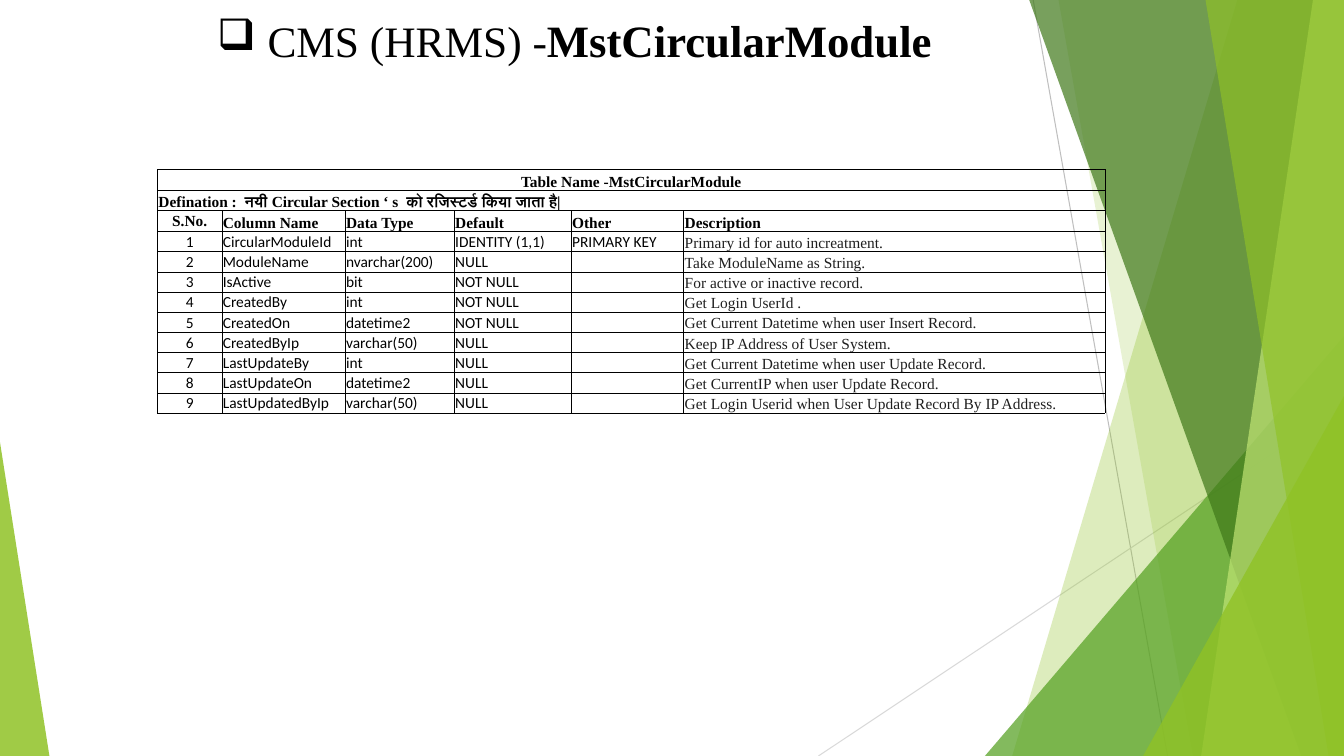
from lxml import etree
from pptx import Presentation
from pptx import util as u
from pptx.dml.color import RGBColor
from pptx.enum import shapes, text
from pptx.oxml.ns import qn

Pt = u.Pt
WIDTH, HEIGHT = 960, 540
TOP = -0.6
SERIF, SANS = "Times New Roman", "Calibri"
COLORS = {
    "black": "000000", "ink": "1F1F1F", "silver": "BFBFBF", "mist": "D9D9D9",
    "lime": "90C226", "green": "54A021", "forest": "3F7819", "pale": "C0E474",
}
COLUMN_WIDTHS = [46, 88, 78, 83.5, 80.5, 301]
TABLE_NAME = "Table Name -MstCircularModule"
DEFINITION = "Defination :  नयी Circular Section ‘ s  को रजिस्टर्ड किया जाता है|"
HEADINGS = ["S.No.", "Column Name", "Data Type", "Default", "Other", "Description"]
FIELDS = [
    ("CircularModuleId", "int", "IDENTITY (1,1)", "PRIMARY KEY",
     "Primary id for auto increatment."),
    ("ModuleName", "nvarchar(200)", "NULL", "", "Take ModuleName as String."),
    ("IsActive", "bit", "NOT NULL", "", "For active or inactive record."),
    ("CreatedBy", "int", "NOT NULL", "", "Get Login UserId ."),
    ("CreatedOn", "datetime2", "NOT NULL", "",
     "Get Current Datetime when user Insert Record."),
    ("CreatedByIp", "varchar(50)", "NULL", "", "Keep IP Address of User System."),
    ("LastUpdateBy", "int", "NULL", "",
     "Get Current Datetime when user Update Record."),
    ("LastUpdateOn", "datetime2", "NULL", "", "Get CurrentIP when user Update Record."),
    ("LastUpdatedByIp", "varchar(50)", "NULL", "",
     "Get Login Userid when User Update Record By IP Address."),
]


def rgb(name):
    return RGBColor.from_string(COLORS[name])


def paint(shape, color, opacity):
    """Give the shape a see-through fill, no line and no shadow."""
    shape.shadow.inherit = False
    shape.line.fill.background()
    shape.fill.solid()
    shape.fill.fore_color.rgb = rgb(color)
    tint = shape.fill._xPr.find(qn("a:solidFill"))[0]
    etree.SubElement(tint, qn("a:alpha"), val=str(opacity * 1000))


def add_line(page, start, end, color):
    line = page.shapes.add_connector(
        shapes.MSO_CONNECTOR.STRAIGHT, *[Pt(value) for value in start + end])
    line.line.color.rgb = rgb(color)
    line.line.width = Pt(0.75)
    etree.SubElement(line._element.spPr, qn("a:effectLst"))


def add_blade(page, top_x, bottom_x, color, opacity):
    """Fill from a slanted left edge to the right side of the slide."""
    corners = [(WIDTH, TOP), (WIDTH, HEIGHT), (bottom_x, HEIGHT)]
    outline = page.shapes.build_freeform(Pt(top_x), Pt(TOP))
    outline.add_line_segments([(Pt(x), Pt(y)) for x, y in corners], close=True)
    paint(outline.convert_to_shape(), color, opacity)


def add_triangle(page, left, top, width, apex, color, opacity):
    triangle = page.shapes.add_shape(
        shapes.MSO_SHAPE.ISOSCELES_TRIANGLE,
        Pt(left), Pt(top), Pt(width), Pt(HEIGHT - top))
    triangle.adjustments[0] = apex
    paint(triangle, color, opacity)


def add_span(para, words, size, font, color="black", bold=False):
    span = para.add_run()
    span.text = words
    span.font.size = Pt(size)
    span.font.name = font
    span.font.bold = bold
    span.font.color.rgb = rgb(color)


def add_title(page):
    box = page.shapes.add_textbox(Pt(112.5), Pt(5.8), Pt(596), Pt(46))
    box.text_frame.word_wrap = True
    para = box.text_frame.paragraphs[0]
    para.alignment = text.PP_ALIGN.CENTER
    props = para._p.get_or_add_pPr()
    props.set("marL", str(Pt(36)))
    props.set("indent", str(Pt(-36)))
    etree.SubElement(props, qn("a:buChar"), char="❑")
    add_span(para, "CMS (HRMS) -", 31, SERIF)
    add_span(para, "MstCircularModule", 32, SERIF, bold=True)


def add_borders(cell):
    props = cell._tc.get_or_add_tcPr()
    for index, side in enumerate(("lnL", "lnR", "lnT", "lnB")):
        border = etree.Element(qn("a:" + side), w=str(Pt(0.5)))
        fill = etree.SubElement(border, qn("a:solidFill"))
        etree.SubElement(fill, qn("a:srgbClr"), val=COLORS["black"])
        props.insert(index, border)


def fill_cell(cell, words, font=SERIF, color="black", bold=False,
              centered=False, anchor=text.MSO_ANCHOR.BOTTOM):
    cell.fill.background()
    cell.vertical_anchor = anchor
    cell.margin_left = cell.margin_right = cell.margin_top = Pt(0.7)
    cell.margin_bottom = 0
    add_borders(cell)
    para = cell.text_frame.paragraphs[0]
    para.alignment = text.PP_ALIGN.CENTER if centered else text.PP_ALIGN.LEFT
    if words:
        add_span(para, words, 11, font, color, bold)
    else:
        etree.SubElement(para._p, qn("a:endParaRPr"), sz="1100")


def add_field_table(page):
    heights = [15, 14.4, 15] + [14.4] * len(FIELDS)
    frame = page.shapes.add_table(
        len(heights), len(COLUMN_WIDTHS), Pt(112.5), Pt(121),
        Pt(sum(COLUMN_WIDTHS)), Pt(sum(heights)))
    table = frame.table
    table.first_row = table.horz_banding = False
    for column, width in zip(table.columns, COLUMN_WIDTHS):
        column.width = Pt(width)
    for row, height in zip(table.rows, heights):
        row.height = Pt(height)

    last = len(COLUMN_WIDTHS) - 1
    for row, words in enumerate((TABLE_NAME, DEFINITION)):
        for column in range(last + 1):
            add_borders(table.cell(row, column))
        table.cell(row, 0).merge(table.cell(row, last))
        fill_cell(table.cell(row, 0), words, bold=True, centered=row == 0)

    body = [HEADINGS] + [(str(n), *field) for n, field in enumerate(FIELDS, 1)]
    for row, entries in enumerate(body, 2):
        heading = entries is HEADINGS
        for column, words in enumerate(entries):
            first, described = column == 0, column == last
            fill_cell(
                table.cell(row, column), words,
                font=SERIF if heading or described else SANS,
                color="ink" if described and not heading else "black",
                bold=heading, centered=first,
                anchor=text.MSO_ANCHOR.MIDDLE if first else text.MSO_ANCHOR.BOTTOM)


def add_backdrop(page):
    add_line(page, (738, 0), (834, HEIGHT), "silver")
    add_line(page, (WIDTH, 290), (584.6, HEIGHT), "mist")
    add_blade(page, 884, 723, "lime", 30)
    add_blade(page, 756, 852, "lime", 20)
    add_triangle(page, 703.5, 240, 256.5, 1, "green", 72)
    add_blade(page, 735, 929.5, "forest", 70)
    add_blade(page, 938, 858, "pale", 70)
    add_blade(page, 861, 949, "lime", 65)
    add_triangle(page, 816.5, 283, 143.5, 1, "lime", 80)
    add_triangle(page, 0, 316, 35.3, 0, "lime", 85)


def main():
    deck = Presentation()
    deck.slide_width, deck.slide_height = Pt(WIDTH), Pt(HEIGHT)
    page = deck.slides.add_slide(deck.slide_layouts[6])
    add_backdrop(page)
    add_title(page)
    add_field_table(page)
    deck.save("out.pptx")


if __name__ == "__main__":
    main()
